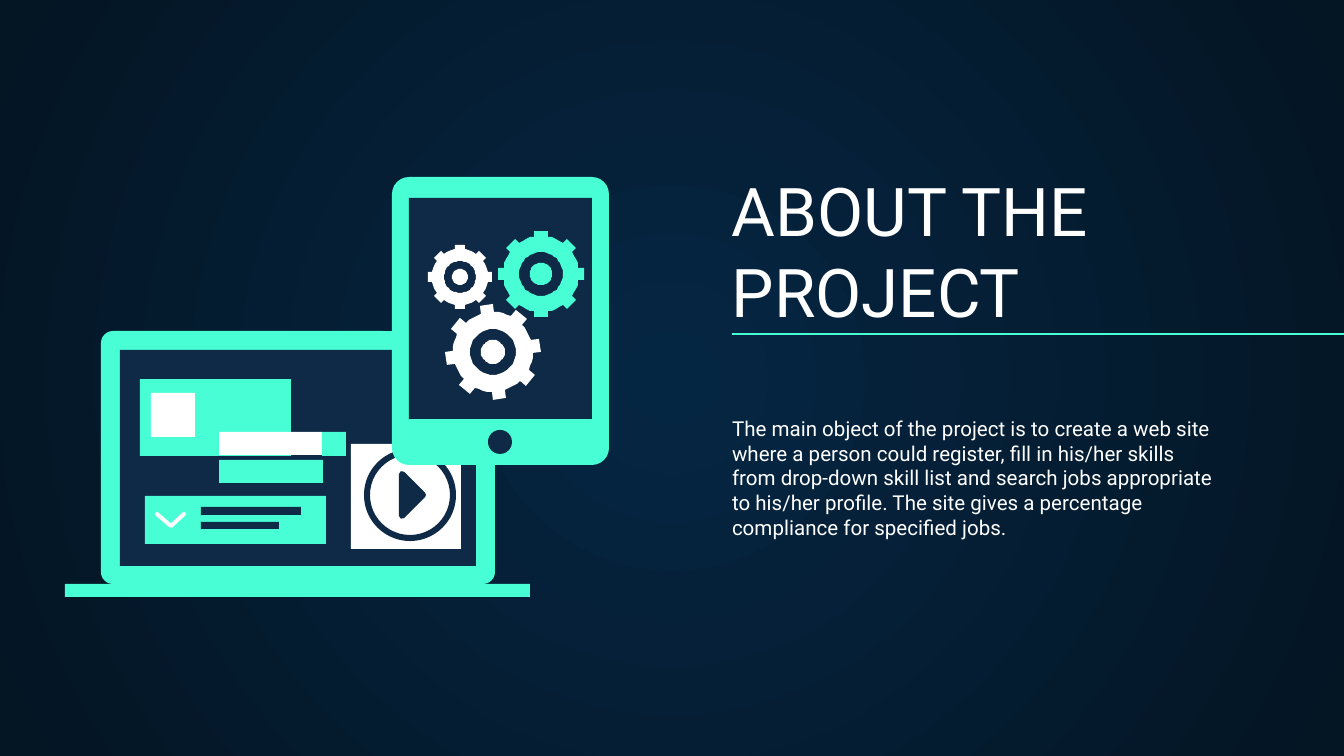
from dataclasses import dataclass
from math import cos, pi, radians, sin, sqrt

from lxml.etree import SubElement
from pptx import Presentation
from pptx.dml.color import RGBColor
from pptx.enum.shapes import MSO_CONNECTOR as Connector, MSO_SHAPE as Preset
from pptx.enum.text import MSO_ANCHOR as Anchor
from pptx.oxml.ns import qn
from pptx.util import Pt

PX = 914400 / 134.4  # EMU in one px
MINT = RGBColor(0x48, 0xFF, 0xD5)
NAVY = RGBColor(0x0E, 0x2A, 0x47)
WHITE = RGBColor(0xFF, 0xFF, 0xFF)
GLOW = RGBColor(0x05, 0x26, 0x43)
NIGHT = RGBColor(0x04, 0x15, 0x23)
FONT = "Roboto"
TEETH = 8


@dataclass(frozen=True)
class Block:
    x: int
    y: int
    width: int
    height: int
    color: RGBColor
    preset: Preset = Preset.RECTANGLE
    edge: int = 0  # corner radius or ring thickness


@dataclass(frozen=True)
class Gear:
    x: int
    y: int
    reach: int
    body: int
    tooth: int  # tooth width
    hole: int
    hub: int
    color: RGBColor
    turn: int = 0  # degrees


LAPTOP = [
    Block(101, 331, 394, 253, MINT, Preset.ROUNDED_RECTANGLE, 12),
    Block(120, 350, 356, 216, NAVY),
    Block(65, 584, 465, 13, MINT),
    # Profile card
    Block(140, 379, 151, 77, MINT),
    Block(151, 393, 44, 44, WHITE),
    # Drop-down list
    Block(145, 496, 181, 48, MINT),
    Block(201, 507, 100, 8, NAVY),
    Block(201, 522, 78, 7, NAVY),
    # Search fields
    Block(219, 460, 104, 23, MINT),
    Block(219, 432, 103, 23, WHITE),
    Block(322, 432, 24, 24, MINT),
    # Video tile
    Block(351, 444, 110, 105, WHITE),
    Block(364, 449, 92, 92, NAVY, Preset.DONUT, 6),
]
TABLET = [
    Block(392, 177, 217, 288, MINT, Preset.ROUNDED_RECTANGLE, 17),
    Block(409, 198, 183, 221, NAVY),
    Block(488, 430, 24, 24, NAVY, Preset.OVAL),
]
GEARS = [
    Gear(541, 274, 43, 38, 13, 22, 11, MINT),
    Gear(460, 277, 32, 28, 10, 16, 8, WHITE),
    Gear(493, 352, 47, 40, 14, 23, 12, WHITE, -8),
]


def px(length: float) -> int:
    return round(length * PX)


def draw_block(shapes, block: Block) -> None:
    shape = shapes.add_shape(block.preset, px(block.x), px(block.y),
                             px(block.width), px(block.height))
    shape.shadow.inherit = False
    shape.fill.solid()
    shape.fill.fore_color.rgb = block.color
    shape.line.fill.background()
    if block.edge:
        shape.adjustments[0] = block.edge / min(block.width, block.height)


def draw_outline(shapes, contours: list, color: RGBColor,
                 stroke: int = 0, closed: bool = True):
    builder = None
    for contour in contours:
        if builder is None:
            builder = shapes.build_freeform(*contour[0], scale=PX)
        else:
            builder.move_to(*contour[0])
        builder.add_line_segments(contour[1:], close=closed)
    shape = builder.convert_to_shape()
    shape.shadow.inherit = False
    if closed:
        shape.fill.solid()
        shape.fill.fore_color.rgb = color
    else:
        shape.fill.background()
    if stroke:
        shape.line.color.rgb = color
        shape.line.width = px(stroke)
    else:
        shape.line.fill.background()
    return shape


def circle(gear: Gear, radius: int, steps: int = 48) -> list:
    return [(gear.x + radius * cos(2 * pi * i / steps),
             gear.y + radius * sin(2 * pi * i / steps)) for i in range(steps)]


def draw_gear(shapes, gear: Gear) -> None:
    half = gear.tooth / 2
    root = sqrt(gear.body ** 2 - half ** 2)
    # One tooth pointing right, then the body's arc to the next tooth
    start = sin(half / gear.body)
    gap = 2 * pi / TEETH - 2 * start
    profile = [(root, -half), (gear.reach, -half), (gear.reach, half), (root, half)]
    profile += [(gear.body * cos(start + gap * i / 4), gear.body * sin(start + gap * i / 4))
                for i in range(1, 4)]
    rim = []
    for tooth in range(TEETH):
        angle = 2 * pi * tooth / TEETH + radians(gear.turn)
        rim += [(gear.x + u * cos(angle) - v * sin(angle),
                 gear.y + u * sin(angle) + v * cos(angle)) for u, v in profile]
    draw_outline(shapes, [rim, circle(gear, gear.hole), circle(gear, gear.hub)], gear.color)


def draw_text(shapes, text: str, x: int, y: int, width: int, height: int,
              size: int, anchor: Anchor) -> None:
    frame = shapes.add_textbox(px(x), px(y), px(width), px(height)).text_frame
    frame.word_wrap = True
    frame.vertical_anchor = anchor
    frame.margin_left = frame.margin_right = px(13)
    frame.margin_top = frame.margin_bottom = px(13)
    frame.text = text
    font = frame.paragraphs[0].font
    font.name, font.size, font.color.rgb = FONT, Pt(size), WHITE


def paint_background(slide) -> None:
    fill = slide.background.fill
    fill.gradient()
    for stop, color in zip(fill.gradient_stops, (GLOW, NIGHT)):
        stop.color.rgb = color
    gradient = slide.element.find(".//" + qn("a:gradFill"))
    gradient.remove(gradient.find(qn("a:lin")))
    radial = SubElement(gradient, qn("a:path"), path="circle")
    SubElement(radial, qn("a:fillToRect"), l="50000", t="50000", r="50000", b="50000")


def main() -> None:
    deck = Presentation()
    deck.slide_width, deck.slide_height = px(1344), px(756)
    slide = deck.slides.add_slide(deck.slide_layouts[6])
    shapes = slide.shapes
    paint_background(slide)

    # Title, rule and description
    draw_text(shapes, "ABOUT THE PROJECT", 719, 255, 519, 89, 36, Anchor.BOTTOM)
    draw_text(shapes, "The main object of the project is to create a web site where a person "
              "could register, fill in his/her skills from drop-down skill list and search "
              "jobs appropriate to his/her profile. The site gives a percentage compliance "
              "for specified jobs.", 719, 403, 508, 208, 11, Anchor.TOP)
    rule = shapes.add_connector(Connector.STRAIGHT, px(732), px(334), px(1386), px(334))
    rule.line.color.rgb = MINT
    rule.line.width = Pt(0.75)
    SubElement(rule.element.spPr, qn("a:effectLst"))

    # Laptop with its chevron and play symbol
    for block in LAPTOP:
        draw_block(shapes, block)
    chevron = draw_outline(shapes, [[(157, 514), (171, 526), (184, 514)]], WHITE, 4, closed=False)
    chevron.element.spPr.find(qn("a:ln")).set("cap", "rnd")
    draw_outline(shapes, [[(402, 474), (423, 495), (402, 516)]], NAVY, 6)

    # Tablet with gears
    for block in TABLET:
        draw_block(shapes, block)
    for gear in GEARS:
        draw_gear(shapes, gear)

    deck.save("out.pptx")


if __name__ == "__main__":
    main()
